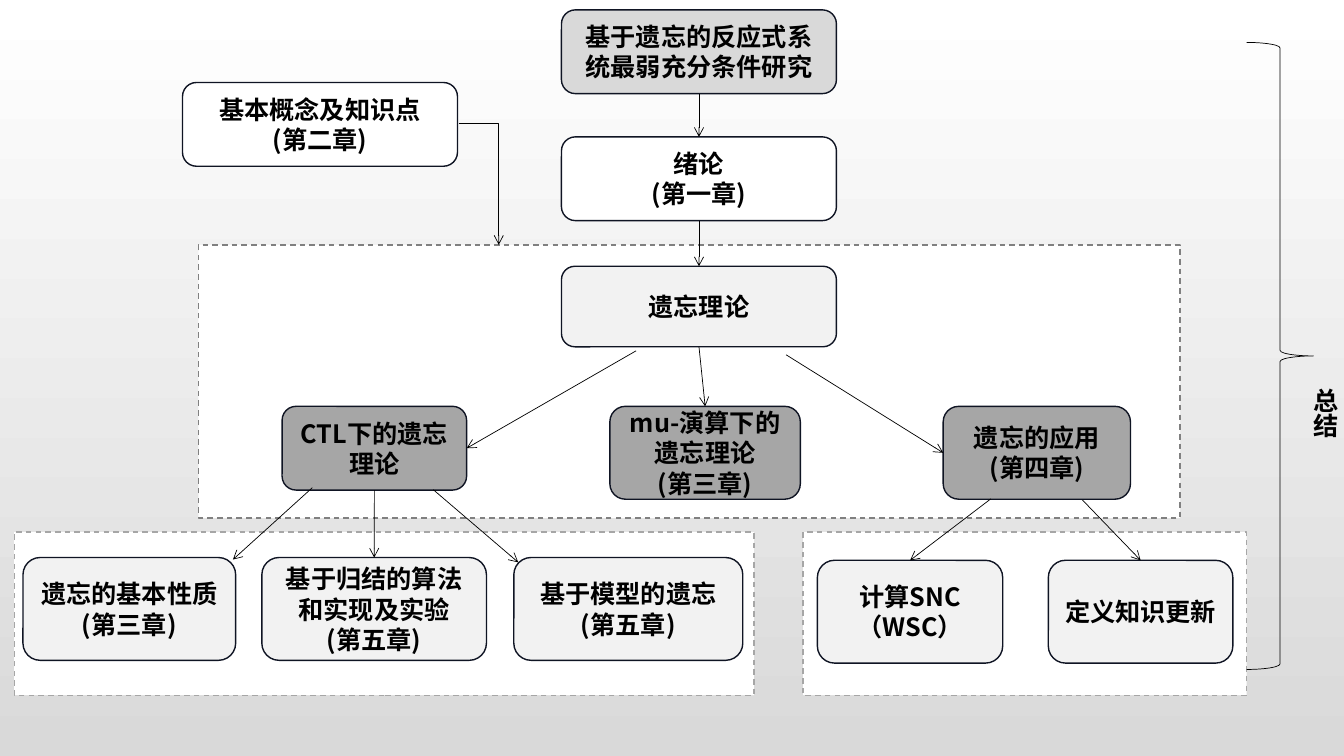
from lxml import etree
from pptx import Presentation
from pptx.dml.color import RGBColor
from pptx.enum.dml import MSO_LINE
from pptx.enum.shapes import MSO_CONNECTOR, MSO_SHAPE
from pptx.enum.text import MSO_ANCHOR, MSO_AUTO_SIZE, PP_ALIGN
from pptx.oxml.ns import qn
from pptx.util import Cm, Pt

RECTANGLE = MSO_SHAPE.RECTANGLE
ROUNDED = MSO_SHAPE.FLOWCHART_ALTERNATE_PROCESS
BRACE = MSO_SHAPE.RIGHT_BRACE
STRAIGHT, ELBOW = MSO_CONNECTOR.STRAIGHT, MSO_CONNECTOR.ELBOW
DASH = MSO_LINE.DASH
MIDDLE, CENTER = MSO_ANCHOR.MIDDLE, PP_ALIGN.CENTER
FIT_SHAPE = MSO_AUTO_SIZE.SHAPE_TO_FIT_TEXT
TOP, LEFT, BOTTOM, RIGHT = range(4)

BLACK = RGBColor(0x00, 0x00, 0x00)
WHITE = RGBColor(0xFF, 0xFF, 0xFF)
INK = RGBColor(0x0F, 0x14, 0x23)
PALE = RGBColor(0xF2, 0xF2, 0xF2)
LIGHT = RGBColor(0xD9, 0xD9, 0xD9)
MEDIUM = RGBColor(0xA6, 0xA6, 0xA6)
DARK = RGBColor(0x80, 0x80, 0x80)

FONT = "Noto Sans CJK SC"
FONT_FORMAT = {"name": FONT, "size": Pt(18), "bold": True}

# Dashed frames: left, top, width, height in cm, line colour
FRAMES = [
    (20.24, 13.41, 11.18, 4.11, MEDIUM),
    (0.36, 13.41, 18.64, 4.11, MEDIUM),
    (5.0, 6.17, 24.74, 6.88, DARK),
]

# Chapter boxes: left, top, width, height in cm, fill, paragraphs
BOXES = {
    "title": (14.15, 0.25, 6.93, 2.11, LIGHT, ["基于遗忘的反应式系统最弱充分条件研究"]),
    "intro": (14.15, 3.45, 6.93, 2.11, WHITE, ["绪论", "(第一章)"]),
    "basics": (4.6, 2.08, 6.93, 2.11, WHITE, ["基本概念及知识点", "(第二章)"]),
    "theory": (14.15, 6.71, 6.93, 2.03, PALE, ["遗忘理论"]),
    "ctl": (7.11, 10.24, 4.65, 2.11, MEDIUM, ["CTL下的遗忘理论"]),
    "mu": (15.37, 10.24, 4.8, 2.34, MEDIUM, ["mu-演算下的遗忘理论", "(第三章)"]),
    "uses": (23.77, 10.24, 4.72, 2.34, MEDIUM, ["遗忘的应用(第四章)"]),
    "properties": (0.58, 14.05, 5.36, 2.59, PALE, ["遗忘的基本性质", "(第三章)"]),
    "algorithm": (6.6, 14.05, 5.66, 2.59, PALE, ["基于归结的算法和实现及实验", "(第五章)"]),
    "model": (12.95, 14.05, 5.77, 2.59, PALE, ["基于模型的遗忘", "(第五章)"]),
    "snc": (20.6, 14.12, 4.67, 2.59, PALE, ["计算SNC（WSC）"]),
    "update": (26.42, 14.12, 4.65, 2.59, PALE, ["定义知识更新"]),
}

# Arrows: each end is a (box, side) pair or an (x, y) point in cm
ARROWS = [
    (("title", BOTTOM), ("intro", TOP)),
    (("intro", BOTTOM), ("theory", TOP)),
    (("theory", BOTTOM), ("mu", TOP)),
    ((16.03, 8.84), ("ctl", RIGHT)),
    ((19.81, 8.94), ("uses", LEFT)),
    ((7.87, 12.29), (5.87, 14.1)),
    (("ctl", BOTTOM), ("algorithm", TOP)),
    ((10.92, 12.34), (13.06, 14.17)),
    ((24.97, 12.57), ("snc", TOP)),
    ((27.28, 12.6), ("update", TOP)),
]


def apply_format(target, values):
    for name, value in values.items():
        setattr(target, name, value)


def write_text(frame, lines, align=None):
    frame.word_wrap = True
    for number, line in enumerate(lines):
        para = frame.add_paragraph() if number else frame.paragraphs[0]
        para.alignment = align
        span = para.add_run()
        span.text = line
        apply_format(span.font, FONT_FORMAT)
        span.font.color.rgb = BLACK
        # East Asian typeface
        etree.SubElement(span.font._element, qn("a:ea"), typeface=FONT)


def add_outline(page, kind, place, fill, line, width, dash=None):
    shape = page.shapes.add_shape(kind, *map(Cm, place))
    shape.shadow.inherit = False
    if fill is None:
        shape.fill.background()
    else:
        shape.fill.solid()
        shape.fill.fore_color.rgb = fill
    shape.line.color.rgb = line
    apply_format(shape.line, {"width": Pt(width), "dash_style": dash})
    return shape


def add_box(page, left, top, width, height, fill, lines):
    box = add_outline(page, ROUNDED, (left, top, width, height), fill, INK, 1)
    box.text_frame.vertical_anchor = MIDDLE
    write_text(box.text_frame, lines, CENTER)
    return box


def add_arrow(page, start, end, kind=STRAIGHT):
    arrow = page.shapes.add_connector(kind, *map(Cm, start + end))
    arrow.line.color.rgb = BLACK
    arrow.line.width = Pt(0.5)
    etree.SubElement(arrow.line._get_or_add_ln(), qn("a:tailEnd"), type="arrow")
    etree.SubElement(arrow._element.spPr, qn("a:effectLst"))
    return arrow


def join_arrow(page, boxes, start, end):
    glued = [point[0] in boxes for point in (start, end)]
    arrow = add_arrow(page, (0, 0) if glued[0] else start, (0, 0) if glued[1] else end)
    if glued[0]:
        arrow.begin_connect(boxes[start[0]], start[1])
    if glued[1]:
        arrow.end_connect(boxes[end[0]], end[1])


def add_corner_arrow(page, start, end):
    arrow = add_arrow(page, start, end, ELBOW)
    # One bend instead of two
    arrow._element.spPr.find(qn("a:prstGeom")).set("prst", "bentConnector2")


def add_vertical_label(page, place, text):
    label = page.shapes.add_textbox(*map(Cm, place))
    write_text(label.text_frame, [text])
    label.text_frame.auto_size = FIT_SHAPE
    label.text_frame._txBody.bodyPr.set("vert", "eaVert")


def paint_background(page):
    fill = page.background.fill
    fill.gradient()
    fill.gradient_angle = 270
    for stop, colour in zip(fill.gradient_stops, (WHITE, LIGHT)):
        stop.color.rgb = colour


def main():
    deck = Presentation()
    apply_format(deck, {"slide_width": Cm(33.87), "slide_height": Cm(19.05)})
    page = deck.slides.add_slide(deck.slide_layouts[6])
    paint_background(page)

    # Frames, then the boxes inside them
    for *place, line in FRAMES:
        add_outline(page, RECTANGLE, place, WHITE, line, 1, DASH)
    boxes = {name: add_box(page, *values) for name, values in BOXES.items()}

    # Arrows
    for start, end in ARROWS:
        join_arrow(page, boxes, start, end)
    add_corner_arrow(page, (11.56, 3.12), (12.57, 6.17))

    # Summary brace and label
    add_outline(page, BRACE, (31.42, 1.07, 1.68, 15.8), None, BLACK, 0.5)
    add_vertical_label(page, (32.64, 9.53, 1.27, 1.96), "总结")

    deck.save("out.pptx")


if __name__ == "__main__":
    main()
